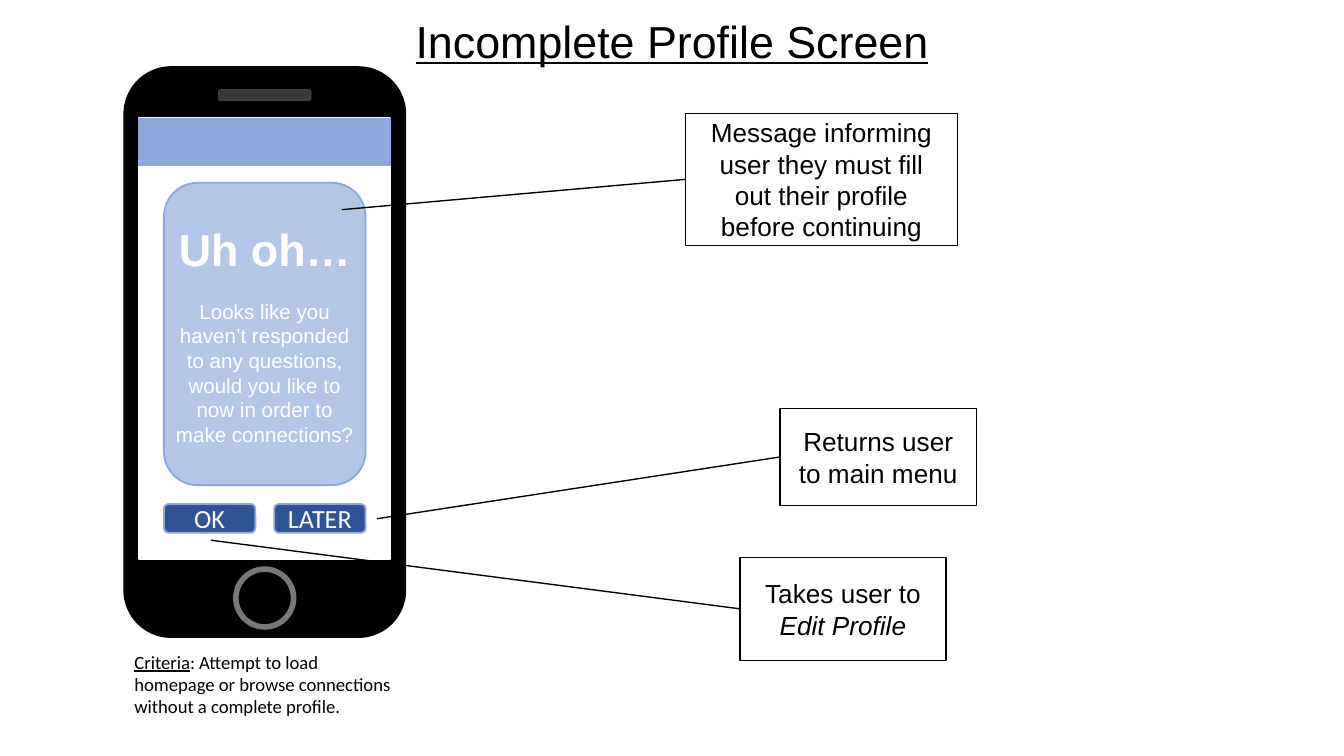
from dataclasses import dataclass

from lxml import etree
from pptx import Presentation
from pptx.dml.color import RGBColor
from pptx.enum.shapes import MSO_CONNECTOR, MSO_SHAPE
from pptx.enum.text import MSO_ANCHOR, PP_ALIGN
from pptx.oxml.ns import qn
from pptx.util import Emu, Pt

RECT = MSO_SHAPE.RECTANGLE
ROUNDED = MSO_SHAPE.ROUNDED_RECTANGLE
OVAL = MSO_SHAPE.OVAL
STRAIGHT = MSO_CONNECTOR.STRAIGHT
TOP, MIDDLE = MSO_ANCHOR.TOP, MSO_ANCHOR.MIDDLE
LEFT, CENTER = PP_ALIGN.LEFT, PP_ALIGN.CENTER

EMU_PER_PX = 4572  # 200 px to the inch


@dataclass(frozen=True)
class Theme:
    sans: str = "Arial"
    ui: str = "Calibri"
    black: str = "000000"
    white: str = "FFFFFF"
    ring: str = "787878"
    speaker: str = "3A3838"
    speaker_edge: str = "3F3F3F"
    card: str = "B3C6E7"
    accent: str = "8DA9DB"
    button: str = "2F5496"
    title_size: int = 24
    label_size: int = 14
    body_size: int = 11
    note_size: int = 10
    thin: float = 0.75
    edge: float = 1
    thick: float = 3


T = Theme()


def px(n):
    return Emu(n * EMU_PER_PX)


def rgb(color):
    return RGBColor.from_string(color)


def add_box(shapes, kind, box, fill, line, width=T.edge):
    sp = shapes.add_shape(kind, *map(px, box))
    sp.shadow.inherit = False
    if fill:
        sp.fill.solid()
        sp.fill.fore_color.rgb = rgb(fill)
    else:
        sp.fill.background()
    sp.line.color.rgb = rgb(line)
    sp.line.width = Pt(width)
    return sp


def set_frame(sp, anchor, inset_x, inset_y):
    tf = sp.text_frame
    tf.word_wrap = True
    tf.vertical_anchor = anchor
    tf.margin_left = tf.margin_right = px(inset_x)
    tf.margin_top = tf.margin_bottom = px(inset_y)
    return tf


def style(p, size, font=T.sans, color=T.black, align=CENTER):
    p.alignment = align
    p.font.size = Pt(size)
    p.font.name = font
    p.font.color.rgb = rgb(color)


def add_run(p, text):
    r = p.add_run()
    r.text = text
    return r


def add_title(slide, box, text):
    tf = set_frame(slide.shapes.add_textbox(*map(px, box)), TOP, 20, 20)
    p = tf.paragraphs[0]
    style(p, T.title_size)
    add_run(p, text).font.underline = True


def add_criteria(slide, box, heading, text):
    tf = set_frame(slide.shapes.add_textbox(*map(px, box)), TOP, 15, 8)
    p = tf.paragraphs[0]
    style(p, T.note_size, T.ui, align=LEFT)
    add_run(p, heading).font.underline = True
    add_run(p, text)


def add_message(shapes, box, heading, text):
    card = add_box(shapes, ROUNDED, box, T.card, T.accent)
    tf = set_frame(card, MIDDLE, 0, 0)
    p = tf.paragraphs[0]
    style(p, T.title_size, color=T.white)
    add_run(p, heading).font.bold = True
    p = tf.add_paragraph()
    style(p, T.body_size, color=T.white)
    p.space_before = Pt(12.6)
    add_run(p, text)


def add_phone(slide, box, heading, message, buttons):
    x, y, w, h = box
    shapes = slide.shapes.add_group_shape().shapes
    add_box(shapes, ROUNDED, box, T.black, T.black)
    screen_x, screen_y, screen_w = x + 22, y + 76, w - 44
    add_box(shapes, RECT, (screen_x, screen_y, screen_w, 656), T.white, T.white)
    add_box(shapes, OVAL, (x + 166, y + h - 101, 86, 86), T.black, T.ring, T.thick)
    add_box(shapes, ROUNDED, (x + 141, y + 34, 136, 15), T.speaker, T.speaker_edge)

    inner_x, inner_w = x + 59, 300
    add_message(shapes, (inner_x, y + 172, inner_w, 450), heading, message)
    button_w = 136
    step = (inner_w - button_w) // (len(buttons) - 1)
    for i, label in enumerate(buttons):
        button_box = (inner_x + i * step, y + 650, button_w, 43)
        button = add_box(shapes, ROUNDED, button_box, T.button, T.accent)
        p = set_frame(button, MIDDLE, 15, 8).paragraphs[0]
        style(p, T.label_size, T.ui, T.white)
        add_run(p, label)
    add_box(shapes, RECT, (screen_x, screen_y, screen_w, 70),
            T.accent, T.accent, T.thin)


def add_callout(slide, box, target, text, emphasis=""):
    """Add a note box and a line from the target to its left side."""
    x, y, _, h = box
    line = slide.shapes.add_connector(
        STRAIGHT, *map(px, (*target, x, y + h // 2)))
    line.line.color.rgb = rgb(T.black)
    line.line.width = Pt(T.thin)
    etree.SubElement(line._element.spPr, qn("a:effectLst"))

    note = add_box(slide.shapes, RECT, box, None, T.black, T.thin)
    p = set_frame(note, MIDDLE, 20, 20).paragraphs[0]
    style(p, T.label_size)
    add_run(p, text)
    if emphasis:
        add_run(p, emphasis).font.italic = True


def main():
    prs = Presentation()
    prs.slide_width, prs.slide_height = px(2000), px(1125)
    slide = prs.slides.add_slide(prs.slide_layouts[6])

    add_phone(slide, (185, 100, 418, 848), "Uh oh…",
              "Looks like you haven’t responded to any questions, "
              "would you like to now in order to make connections?",
              ("OK", "LATER"))
    add_title(slide, (592, 0, 816, 128), "Incomplete Profile Screen")
    add_criteria(slide, (185, 960, 418, 154), "Criteria",
                 ": Attempt to load homepage or browse connections "
                 "without a complete profile.")
    add_callout(slide, (1020, 169, 405, 196), (509, 312),
                "Message informing user they must fill out their profile "
                "before continuing")
    add_callout(slide, (1161, 608, 292, 144), (561, 772),
                "Returns user to main menu")
    add_callout(slide, (1101, 830, 307, 153), (314, 804),
                "Takes user to ", "Edit Profile")

    prs.save("out.pptx")


if __name__ == "__main__":
    main()
